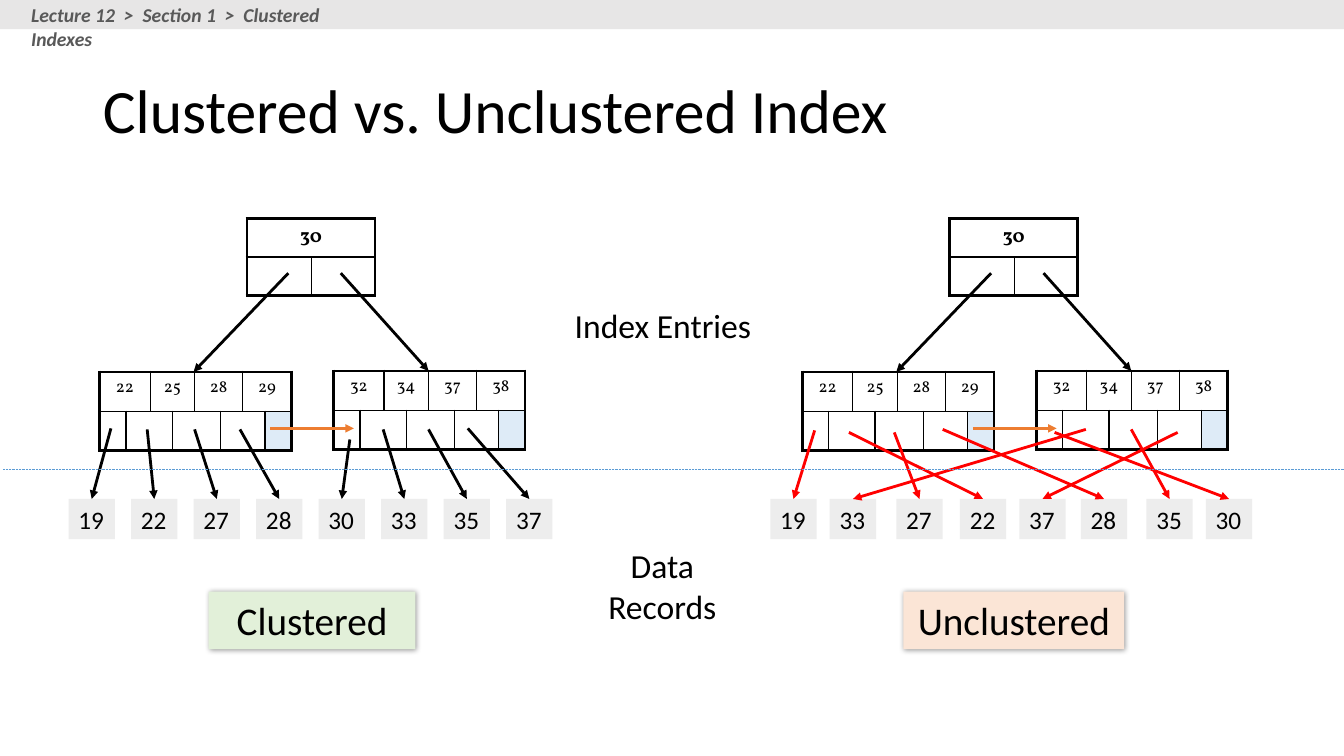
from dataclasses import dataclass

from lxml import etree
from pptx import Presentation
from pptx import util as u
from pptx.dml.color import RGBColor
from pptx.enum import dml, shapes, text
from pptx.oxml import ns

PX = 9144


@dataclass(frozen=True)
class Theme:
    """Colours, fonts and type sizes of the slide."""
    ink: str = "000000"
    muted: str = "595959"
    bar: str = "E7E6E6"
    record: str = "EDEDED"
    sibling: str = "DEEBF7"
    orange: str = "ED7D31"
    red: str = "FF0000"
    blue: str = "5B9BD5"
    green_card: str = "E2F0D9"
    orange_card: str = "FBE5D6"
    body: str = "Calibri"
    node: str = "Vollkorn"
    title: int = 44
    card: int = 28
    label: int = 24
    value: int = 18
    small: int = 14
    key: int = 12


THEME = Theme()
TREE_SHIFT = 697
ROOT_COLUMNS = [64, 63]
LEAF_COLUMNS = [26, 22, 22, 22, 26, 22, 22, 26]
RECORD_TOP, RECORD_WIDTH, RECORD_HEIGHT = 495, 46, 40
CLUSTERED = [("19", 110, 425), ("22", 146, 426), ("27", 193, 426), ("28", 238, 426),
             ("30", 347, 436), ("33", 380, 426), ("35", 425, 426), ("37", 464, 425)]
UNCLUSTERED = [("19", 764, 808, 427), ("33", 823, 1077, 426), ("27", 889, 887, 429),
               ("22", 952, 842, 429), ("37", 1011, 1168, 429), ("28", 1072, 935, 426),
               ("35", 1137, 1122, 426), ("30", 1196, 1046, 429)]


def px(*lengths):
    """Turn whole px into a list of EMU lengths."""
    return [u.Emu(length * PX) for length in lengths]


def add_xml(parent, tag, **attributes):
    """Append a DrawingML element and return it."""
    return etree.SubElement(parent, ns.qn(tag), attributes)


def write(frame, words, size=THEME.value, color=THEME.ink, font=THEME.body, bold=False,
          italic=False, align=text.PP_ALIGN.LEFT, anchor=text.MSO_ANCHOR.TOP, wrap=True):
    """Write one formatted paragraph into a text frame."""
    frame.word_wrap = wrap
    frame.vertical_anchor = anchor
    para = frame.paragraphs[0]
    para.alignment = align
    span = para.add_run()
    span.text = words
    span.font.size = u.Pt(size)
    span.font.name = font
    span.font.bold = bold
    span.font.italic = italic
    span.font.color.rgb = RGBColor.from_string(color)
    return para


def add_label(page, area, words, **look):
    """Add a text box."""
    box = page.shapes.add_textbox(*px(*area))
    write(box.text_frame, words, **look)


def add_block(page, area, fill, words="", shadow=False, **look):
    """Add a filled rectangle with optional text and soft shadow."""
    box = page.shapes.add_shape(shapes.MSO_SHAPE.RECTANGLE, *px(*area))
    box.shadow.inherit = False
    box.fill.solid()
    box.fill.fore_color.rgb = RGBColor.from_string(fill)
    box.line.fill.background()
    if shadow:
        effects = box._element.spPr.find(ns.qn("a:effectLst"))
        outer = add_xml(effects, "a:outerShdw", blurRad=str(u.Pt(4)), dist=str(u.Pt(1)),
                        dir="2700000", algn="tl", rotWithShape="0")
        add_xml(add_xml(outer, "a:srgbClr", val=THEME.ink), "a:alpha", val="40000")
    if words:
        write(box.text_frame, words, **look)


def add_line(page, start, end, color=THEME.ink, width=2, arrow=True):
    """Add a straight arrow, or a dotted rule when arrow is False."""
    line = page.shapes.add_connector(shapes.MSO_CONNECTOR.STRAIGHT, *px(*start, *end))
    line.line.color.rgb = RGBColor.from_string(color)
    line.line.width = u.Pt(width)
    if arrow:
        add_xml(line.line._get_or_add_ln(), "a:tailEnd", type="triangle")
    else:
        line.line.dash_style = dml.MSO_LINE.ROUND_DOT
    add_xml(line._element.spPr, "a:effectLst")


def draw_borders(cell, outer):
    """Draw heavy borders on the outer sides of a cell and thin ones inside."""
    properties = cell._tc.get_or_add_tcPr()
    for side in "LRTB":
        width = u.Pt(2.25 if side in outer else 1)
        border = add_xml(properties, f"a:ln{side}", w=str(width))
        add_xml(add_xml(border, "a:solidFill"), "a:srgbClr", val=THEME.ink)


def add_node(page, left, top, columns, row_height, keys, pointers, sibling=False, **look):
    """Add a tree node with a row of keys above a row of pointer cells."""
    rows = [[(key, 2) for key in keys], [("", span) for span in pointers]]
    area = px(left, top, sum(columns), 2 * row_height)
    table = page.shapes.add_table(2, len(columns), *area).table
    table.first_row = table.horz_banding = False
    for column, width in zip(table.columns, columns):
        column.width = px(width)[0]
    for r, row in enumerate(rows):
        table.rows[r].height = px(row_height)[0]
        c = 0
        for words, span in row:
            cell = table.cell(r, c)
            if span > 1:
                cell.merge(table.cell(r, c + span - 1))
            last = c + span == len(columns)
            draw_borders(cell, "TB"[r] + "L" * (c == 0) + "R" * last)
            if sibling and r and last:
                cell.fill.solid()
                cell.fill.fore_color.rgb = RGBColor.from_string(THEME.sibling)
            else:
                cell.fill.background()
            if words:
                write(cell.text_frame, words, font=THEME.node,
                      align=text.PP_ALIGN.CENTER, **look)
            else:
                cell.margin_top = cell.margin_bottom = 0
            c += span


def add_tree(page, shift):
    """Add the root, its two leaves and the arrows between them."""
    add_node(page, 245 + shift, 217, ROOT_COLUMNS, 38, ["30"], [1, 1],
             size=THEME.small, bold=True)
    for left, top, keys in ((99, 369, ("22", "25", "28", "29")),
                            (331, 368, ("32", "34", "37", "38"))):
        add_node(page, left + shift, top, LEAF_COLUMNS, 39, keys, [1, 2, 2, 2, 1],
                 sibling=True, size=THEME.key)
    for start, end, color in (((286, 271), (192, 369), THEME.ink),
                              ((338, 271), (425, 368), THEME.ink),
                              ((268, 425), (351, 425), THEME.orange)):
        add_line(page, (start[0] + shift, start[1]), (end[0] + shift, end[1]), color)


def add_records(page, records, color):
    """Add the data records and the pointer arrow that leads to each."""
    for words, left, x, y in records:
        add_block(page, (left, RECORD_TOP, RECORD_WIDTH, RECORD_HEIGHT), THEME.record,
                  words, wrap=False)
        add_line(page, (x, y), (left + RECORD_WIDTH // 2, RECORD_TOP), color)


def main():
    """Build the slide and save it."""
    deck = Presentation()
    deck.slide_width, deck.slide_height = u.Inches(13.33), u.Inches(7.5)
    page = deck.slides.add_slide(deck.slide_layouts[5])
    title = page.shapes.title
    title.left, title.top, title.width, title.height = px(92, 40, 1150, 145)
    para = write(title.text_frame, "Clustered vs. Unclustered Index", size=THEME.title,
                 anchor=text.MSO_ANCHOR.MIDDLE)
    para.line_spacing = 0.9

    centred = {"align": text.PP_ALIGN.CENTER}
    for shift in (0, TREE_SHIFT):
        add_tree(page, shift)
    clustered = [(words, 68 + 62 * i, x, y) for i, (words, x, y) in enumerate(CLUSTERED)]
    add_records(page, clustered, THEME.ink)
    add_records(page, UNCLUSTERED, THEME.red)
    for area, fill, words in (((207, 587, 205, 57), THEME.green_card, "Clustered"),
                              ((896, 587, 219, 57), THEME.orange_card, "Unclustered")):
        add_block(page, area, fill, words, shadow=True, size=THEME.card, **centred)

    add_line(page, (3, 466), (1337, 466), THEME.blue, 0.5, arrow=False)
    add_label(page, (559, 298, 197, 50), "Index Entries", size=THEME.label, wrap=False, **centred)
    add_label(page, (562, 536, 190, 50), "Data Records", size=THEME.label, **centred)
    add_block(page, (0, 0, 1333, 29), THEME.bar)
    add_label(page, (21, -2, 365, 34), "Lecture 12  >  Section 1  >  Clustered Indexes",
              size=THEME.small, color=THEME.muted, bold=True, italic=True)
    deck.save("out.pptx")


if __name__ == "__main__":
    main()
